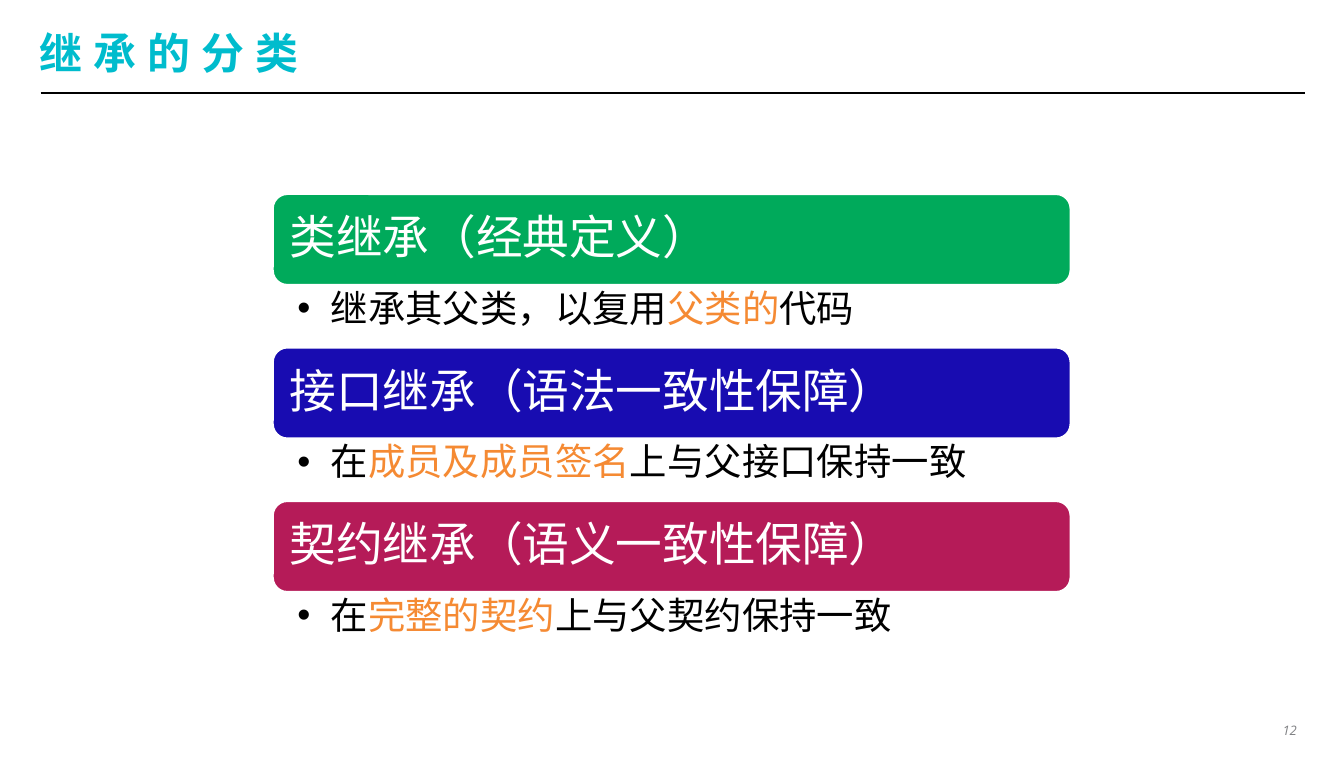
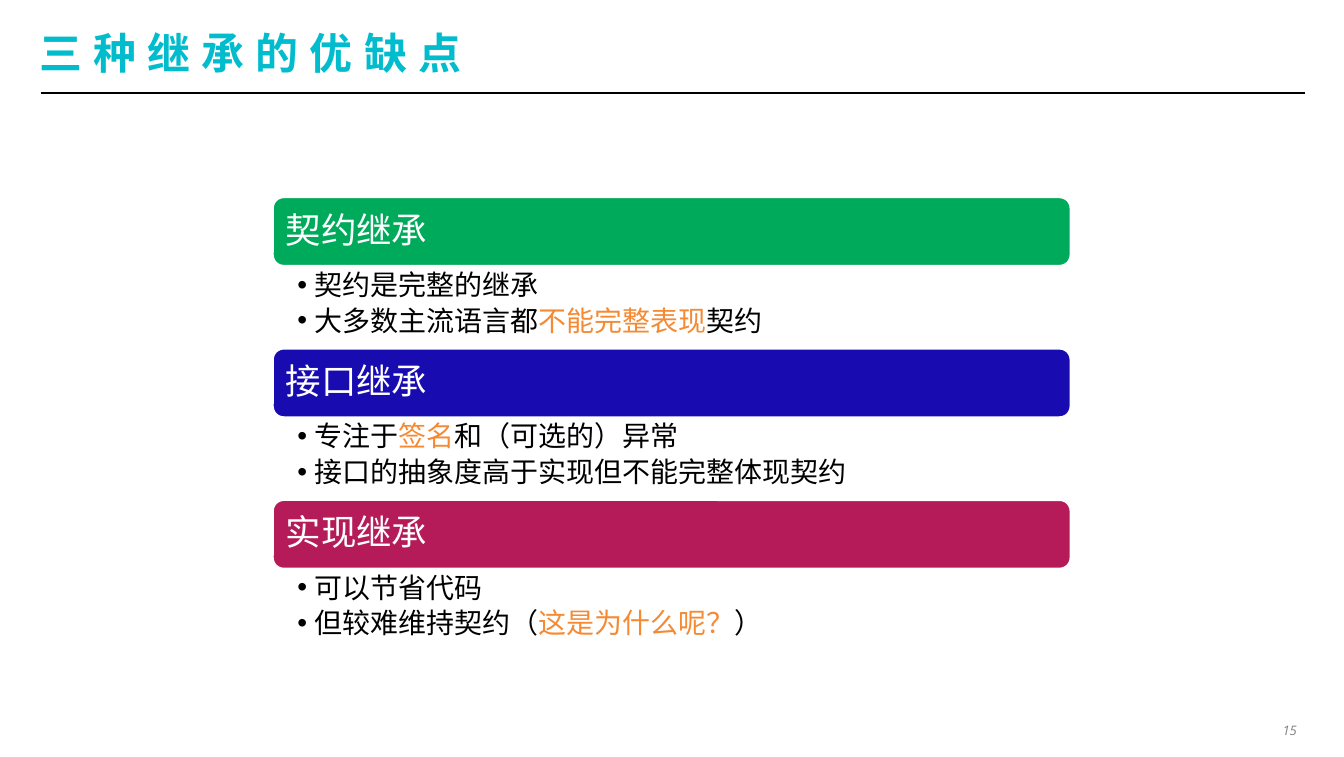
from lxml.etree import SubElement
from pptx import Presentation
from pptx.dml.color import RGBColor
from pptx.enum.shapes import MSO_CONNECTOR, MSO_SHAPE
from pptx.enum.text import MSO_ANCHOR, MSO_AUTO_SIZE, PP_ALIGN
from pptx.oxml.ns import qn
from pptx.util import Cm, Pt

CYAN, BLACK, WHITE, GREY, ORANGE = "00BCCD", "000000", "FFFFFF", "808184", "F58A33"
FILLS = ["00AA5B", "180CB1", "B51B58"]
LEFT, WIDTH = 5.14, 15.11

SLIDES = [
    {
        "title": "继承的分类", "page": "12",
        "top": 3.65, "step": 2.9, "bar": 1.75, "list": 1.14,
        "head": 25, "body": 20, "pad": 0.25, "right": 0.48, "hang": 0.63,
        "parts": [
            ("类继承（经典定义）", ["继承其父类，以复用|父类的|代码"]),
            ("接口继承（语法一致性保障）", ["在|成员及成员签名|上与父接口保持一致"]),
            ("契约继承（语义一致性保障）", ["在|完整的契约|上与父契约保持一致"]),
        ],
    },
    {
        "title": "三种继承的优缺点", "page": "15",
        "top": 3.71, "step": 2.86, "bar": 1.33, "list": 1.53,
        "head": 19, "body": 15, "pad": 0.2, "right": 0.38, "hang": 0.32,
        "parts": [
            ("契约继承", ["契约是完整的继承", "大多数主流语言都|不能完整表现|契约"]),
            ("接口继承", ["专注于|签名|和（可选的）异常", "接口的抽象度高于实现但不能完整体现契约"]),
            ("实现继承", ["可以节省代码", "但较难维持契约（|这是为什么呢？|）"]),
        ],
    },
]


def rgb(code):
    return RGBColor.from_string(code)


def place(shape, left, top, width, height):
    shape.left, shape.top = Cm(left), Cm(top)
    shape.width, shape.height = Cm(width), Cm(height)


def frame(shape, pads, anchor):
    text = shape.text_frame
    text.auto_size = MSO_AUTO_SIZE.NONE
    text.word_wrap = True
    text.vertical_anchor = anchor
    text.margin_left, text.margin_top, text.margin_right, text.margin_bottom = map(Cm, pads)
    return text


def write(para, text, size, color, face="Arial", bold=False, italic=False):
    font = para.font
    font.name, font.size, font.bold, font.italic = face, Pt(size), bold, italic
    font.color.rgb = rgb(color)
    para.alignment = PP_ALIGN.LEFT
    para.space_before = para.space_after = Pt(0)
    for i, piece in enumerate(text.split("|")):
        run = para.add_run()
        run.text = piece
        run._r.get_or_add_rPr().set("lang", "zh-CN")
        if i % 2:
            run.font.color.rgb = rgb(ORANGE)


def add_bullet(para, hang):
    props = para._p.get_or_add_pPr()
    props.set("marL", str(Cm(hang)))
    props.set("indent", str(-Cm(hang)))
    mark = props.makeelement(qn("a:buChar"), {"char": "•"})
    props.find(qn("a:defRPr")).addprevious(mark)


def add_title(slide, words):
    title = slide.shapes.title
    place(title, 0.74, 0.45, 23.9, 1.07)
    para = frame(title, (0, 0, 0, 0), MSO_ANCHOR.MIDDLE).paragraphs[0]
    face = "Noto Sans CJK JP"
    write(para, words, 23, CYAN, face, bold=True)
    props = para.runs[0]._r.get_or_add_rPr()
    props.set("spc", "600")
    SubElement(props, qn("a:ea"), typeface=face)


def add_rule(slide):
    rule = slide.shapes.add_connector(
        MSO_CONNECTOR.STRAIGHT, Cm(0.77), Cm(1.75), Cm(24.66), Cm(1.75))
    rule.line.color.rgb = rgb(BLACK)
    rule.line.width = Pt(1)
    SubElement(rule._element.spPr, qn("a:effectLst"))


def add_page(slide, page):
    box = slide.shapes.add_textbox(Cm(24.13), Cm(13.56), Cm(0.53), Cm(0.43))
    text = frame(box, (0.15, 0.08, 0.15, 0.08), MSO_ANCHOR.TOP)
    text.word_wrap = False
    para = text.paragraphs[0]
    write(para, page, 7, GREY, "Open Sans", italic=True)
    para.alignment = PP_ALIGN.RIGHT


def add_bar(slide, words, fill, top, data):
    bar = slide.shapes.add_shape(
        MSO_SHAPE.ROUNDED_RECTANGLE, Cm(LEFT), Cm(top), Cm(WIDTH), Cm(data["bar"]))
    bar.shadow.inherit = False
    bar.fill.solid()
    bar.fill.fore_color.rgb = rgb(fill)
    bar.line.color.rgb = rgb(WHITE)
    bar.line.width = Pt(2)
    para = frame(bar, [data["pad"]] * 4, MSO_ANCHOR.MIDDLE).paragraphs[0]
    write(para, words, data["head"], WHITE)
    para.line_spacing = 0.9


def fill_list(holder, items, top, data):
    place(holder, LEFT, top, WIDTH, data["list"])
    text = frame(holder, (0.48, 0.08, data["right"], 0.08), MSO_ANCHOR.TOP)
    for i, item in enumerate(items):
        para = text.add_paragraph() if i else text.paragraphs[0]
        write(para, item, data["body"], BLACK)
        para.line_spacing = 0.9
        para.space_after = Pt(data["body"] * 0.2)
        add_bullet(para, data["hang"])


def add_slide(deck, data):
    slide = deck.slides.add_slide(deck.slide_layouts.get_by_name("Comparison"))
    add_title(slide, data["title"])
    add_rule(slide)
    add_page(slide, data["page"])
    *lists, spare = list(slide.placeholders)[1:]
    spare._element.getparent().remove(spare._element)
    for i, (holder, fill, (head, items)) in enumerate(zip(lists, FILLS, data["parts"])):
        top = data["top"] + i * data["step"]
        add_bar(slide, head, fill, top, data)
        fill_list(holder, items, top + data["bar"], data)


def main():
    deck = Presentation()
    deck.slide_width, deck.slide_height = Cm(25.4), Cm(14.3)
    for data in SLIDES:
        add_slide(deck, data)
    deck.save("out.pptx")


if __name__ == "__main__":
    main()
